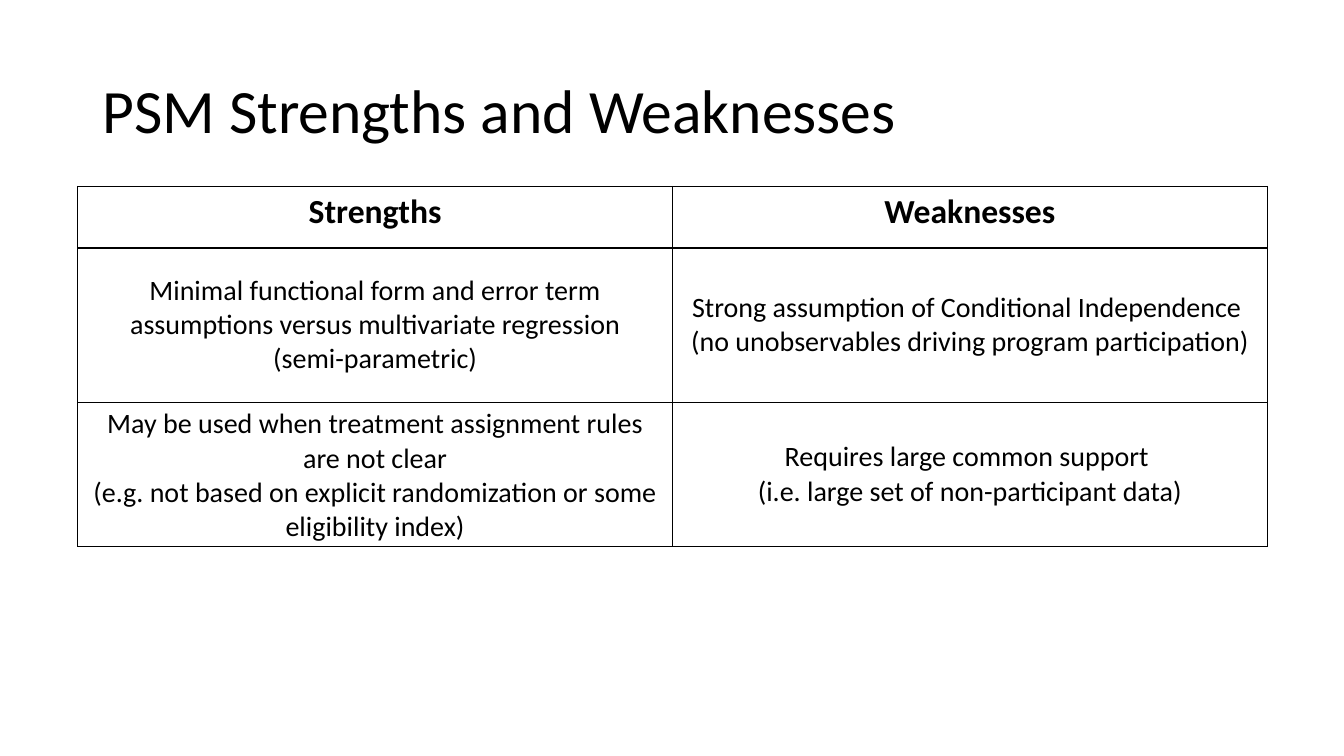
from dataclasses import dataclass

from lxml import etree
from pptx import Presentation
from pptx.dml.color import RGBColor
from pptx.enum.text import MSO_ANCHOR, PP_ALIGN
from pptx.oxml.ns import qn
from pptx.table import _Cell
from pptx.text.text import TextFrame
from pptx.util import Inches, Pt

BLACK = RGBColor(0x00, 0x00, 0x00)
FONT = "Calibri"
LEFT, CENTER = PP_ALIGN.LEFT, PP_ALIGN.CENTER
TOP, MIDDLE = MSO_ANCHOR.TOP, MSO_ANCHOR.MIDDLE
BORDER_SIDES = ("a:lnL", "a:lnR", "a:lnT", "a:lnB")
COLUMN_WIDTH = 5.9


@dataclass(frozen=True)
class ComparisonRow:
    height: float
    strength: list[str]
    weakness: list[str]
    size: int = 20
    bold: bool = False
    anchor: MSO_ANCHOR = MIDDLE


COMPARISON = [
    ComparisonRow(0.61, ["Strengths"], ["Weaknesses"], size=24, bold=True, anchor=TOP),
    ComparisonRow(
        1.53,
        ["Minimal functional form and error term assumptions versus multivariate regression",
         "(semi-parametric)"],
        ["Strong assumption of Conditional Independence ",
         "(no unobservables driving program participation)"],
    ),
    ComparisonRow(
        1.28,
        ["May be used when treatment assignment rules are not clear",
         "(e.g. not based on explicit randomization or some eligibility index)"],
        ["Requires large common support ",
         "(i.e. large set of non-participant data)"],
    ),
]


def write_text(frame: TextFrame, lines: list[str], *, size: int, bold: bool = False,
               align: PP_ALIGN = LEFT, line_spacing: float = 1.0) -> None:
    for index, line in enumerate(lines):
        paragraph = frame.add_paragraph() if index else frame.paragraphs[0]
        paragraph.alignment = align
        paragraph.line_spacing = line_spacing
        run = paragraph.add_run()
        run.text = line
        run.font.name = FONT
        run.font.size = Pt(size)
        run.font.bold = bold
        run.font.color.rgb = BLACK


def outline_cell(cell: _Cell) -> None:
    """Give the cell no fill and a thin black border on all sides."""
    cell.fill.background()
    properties = cell._tc.get_or_add_tcPr()
    for position, side in enumerate(BORDER_SIDES):
        line = etree.Element(qn(side), w=str(Pt(1)))
        fill = etree.SubElement(line, qn("a:solidFill"))
        etree.SubElement(fill, qn("a:srgbClr"), val=str(BLACK))
        properties.insert(position, line)


def add_title(slide, title: str) -> None:
    box = slide.shapes.add_textbox(Inches(0.92), Inches(0.4), Inches(11.5), Inches(1.45))
    box.text_frame.word_wrap = True
    box.text_frame.vertical_anchor = MIDDLE
    write_text(box.text_frame, [title], size=44, line_spacing=0.9)


def add_comparison(slide, rows: list[ComparisonRow]) -> None:
    height = sum(row.height for row in rows)
    table = slide.shapes.add_table(len(rows), 2, Inches(0.77), Inches(1.85),
                                   Inches(2 * COLUMN_WIDTH), Inches(height)).table
    table.first_row = False
    table.horz_banding = False
    for column in table.columns:
        column.width = Inches(COLUMN_WIDTH)
    for row_index, row in enumerate(rows):
        table.rows[row_index].height = Inches(row.height)
        for column_index, lines in enumerate((row.strength, row.weakness)):
            cell = table.cell(row_index, column_index)
            cell.vertical_anchor = row.anchor
            outline_cell(cell)
            write_text(cell.text_frame, lines, size=row.size, bold=row.bold, align=CENTER)


def main() -> None:
    presentation = Presentation()
    presentation.slide_width = Inches(13.33)
    presentation.slide_height = Inches(7.5)
    slide = presentation.slides.add_slide(presentation.slide_layouts[6])
    add_title(slide, "PSM Strengths and Weaknesses")
    add_comparison(slide, COMPARISON)
    presentation.save("out.pptx")


if __name__ == "__main__":
    main()
